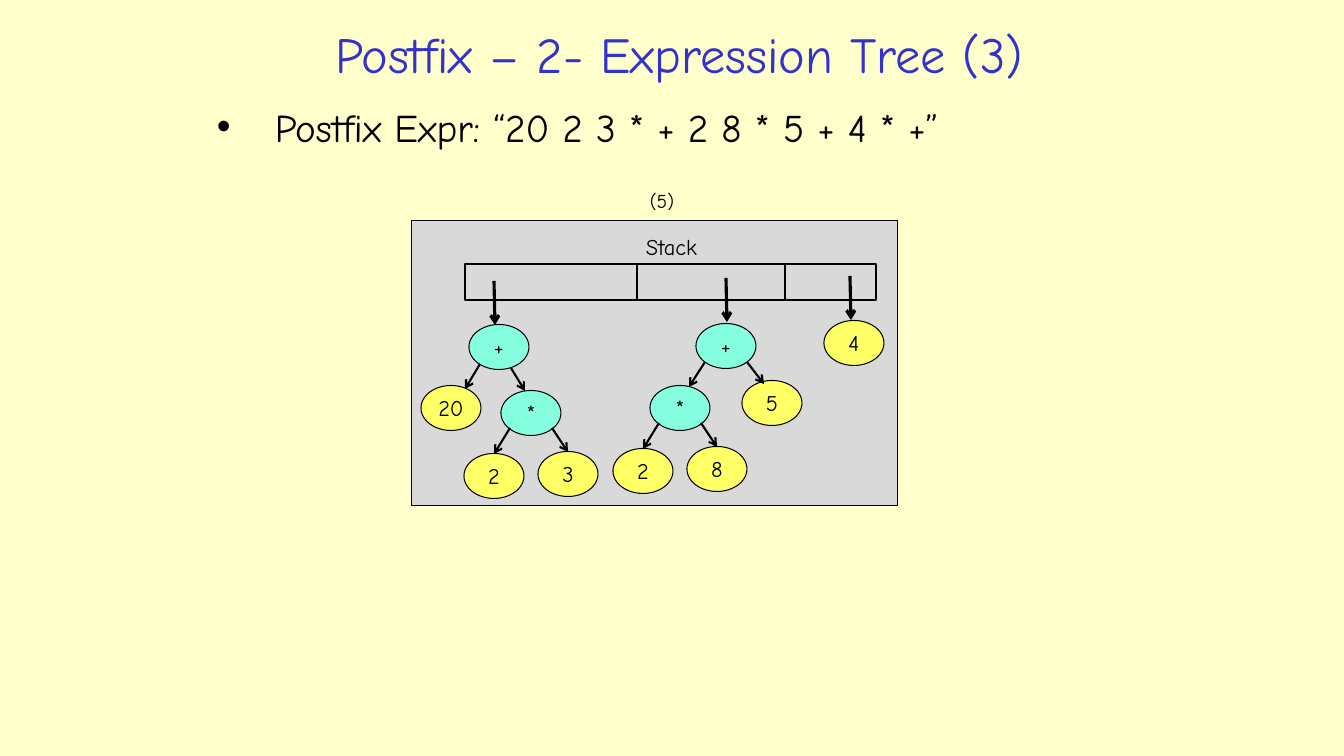
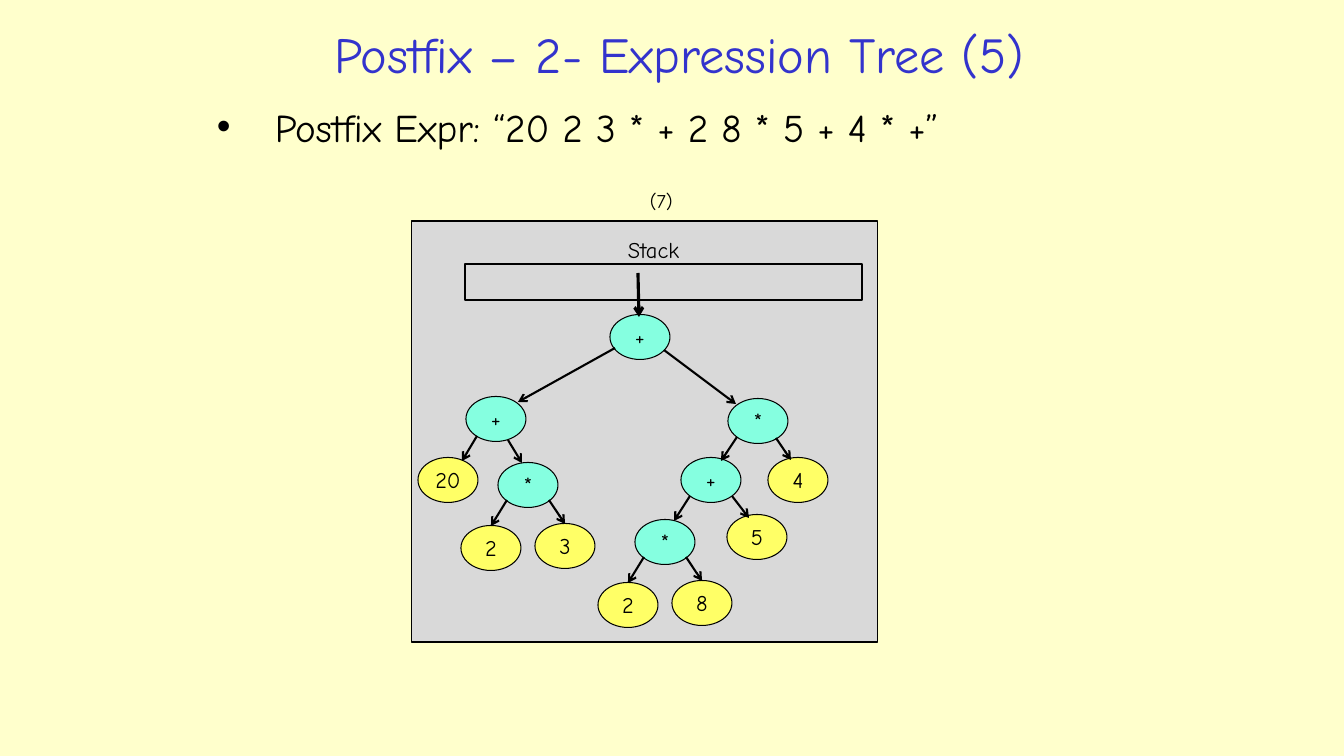
from dataclasses import dataclass

from lxml.etree import SubElement
from pptx import Presentation
from pptx.dml.color import RGBColor
from pptx.enum.shapes import MSO_CONNECTOR, MSO_SHAPE
from pptx.enum.text import MSO_ANCHOR, MSO_AUTO_SIZE, PP_ALIGN
from pptx.oxml.ns import qn
from pptx.util import Emu, Pt

EMU_PER_PX = 914400 / 100.8


@dataclass(frozen=True)
class Theme:
    font: str = "Comic Neue"
    background: RGBColor = RGBColor.from_string("FFFFCC")
    title: RGBColor = RGBColor.from_string("3333CC")
    ink: RGBColor = RGBColor.from_string("000000")
    panel: RGBColor = RGBColor.from_string("D9D9D9")
    operand: RGBColor = RGBColor.from_string("FFFF66")
    operator: RGBColor = RGBColor.from_string("85FFE0")
    title_size: int = 36
    body_size: int = 28
    label_size: int = 16
    step_size: int = 14
    outline: float = 0.75
    edge: float = 1.5
    pointer: float = 2.25


@dataclass(frozen=True)
class Node:
    symbol: str
    branches: tuple = ()


@dataclass(frozen=True)
class Branch:
    child: Node
    offset: tuple
    start: tuple
    end: tuple


@dataclass(frozen=True)
class Step:
    title: str
    number: str
    panel_size: tuple
    stack_width: int
    dividers: tuple
    label_position: tuple
    trees: tuple
    pointers: tuple


THEME = Theme()
NODE_WIDTH, NODE_HEIGHT = 60, 45
STACK_LEFT, STACK_TOP, STACK_HEIGHT = 465, 264, 36
POINTER_LENGTH = 44
EXPRESSION = "Postfix Expr: “20 2 3 * + 2 8 * 5 + 4 * +”"


def product(left, right):
    return Node("*", (
        Branch(Node(left), (-37, 63), (-21, 15), (0, -22)),
        Branch(Node(right), (37, 61), (21, 15), (0, -22)),
    ))


FIRST_SUM = Node("+", (
    Branch(Node("20"), (-48, 61), (-19, 17), (14, -19)),
    Branch(product("2", "3"), (32, 66), (12, 21), (-6, -22)),
))
SECOND_SUM = Node("+", (
    Branch(product("2", "8"), (-46, 62), (-21, 16), (9, -21)),
    Branch(Node("5"), (46, 57), (21, 16), (-8, -19)),
))
SCALED_SUM = Node("*", (
    Branch(SECOND_SUM, (-47, 59), (-21, 16), (10, -19)),
    Branch(Node("4"), (40, 59), (18, 17), (-7, -20)),
))
FULL_TREE = Node("+", (
    Branch(FIRST_SUM, (-144, 82), (-25, 11), (22, -17)),
    Branch(SCALED_SUM, (118, 84), (24, 13), (-22, -17)),
))

STEPS = (
    Step("Postfix – 2- Expression Tree (3)", "(5)", (486, 285), 411, (637, 785), (636, 228),
         ((FIRST_SUM, (499, 347)), (SECOND_SUM, (726, 346)), (Node("4"), (854, 343))),
         ((494, 281), (726, 278), (850, 276))),
    Step("Postfix – 2- Expression Tree (5)", "(7)", (466, 421), 397, (), (618, 231),
         ((FULL_TREE, (640, 337)),),
         ((638, 273),)),
)


def px(length):
    return Emu(round(length * EMU_PER_PX))


def shift(point, offset):
    return point[0] + offset[0], point[1] + offset[1]


def write_text(shape, text, *, size, color=THEME.ink, align=PP_ALIGN.LEFT,
               anchor=MSO_ANCHOR.TOP, wrap=False, bullet_indent=0):
    frame = shape.text_frame
    frame.auto_size = MSO_AUTO_SIZE.NONE
    frame.word_wrap = wrap
    frame.vertical_anchor = anchor
    paragraph = frame.paragraphs[0]
    paragraph.alignment = align
    if bullet_indent:
        properties = paragraph._p.get_or_add_pPr()
        properties.set("marL", str(px(bullet_indent)))
        properties.set("indent", str(-px(bullet_indent)))
        SubElement(properties, qn("a:buFont")).set("typeface", "Arial")
        SubElement(properties, qn("a:buChar")).set("char", "•")
    run = paragraph.add_run()
    run.text = text
    run.font.name = THEME.font
    run.font.size = Pt(size)
    run.font.color.rgb = color


def add_label(slide, text, left, top, width, height, **text_format):
    box = slide.shapes.add_textbox(px(left), px(top), px(width), px(height))
    write_text(box, text, **text_format)


def add_box(slide, kind, left, top, width, height, *, fill=None, line_width=THEME.outline):
    shape = slide.shapes.add_shape(kind, px(left), px(top), px(width), px(height))
    shape.shadow.inherit = False
    if fill is None:
        shape.fill.background()
    else:
        shape.fill.solid()
        shape.fill.fore_color.rgb = fill
    shape.line.color.rgb = THEME.ink
    shape.line.width = Pt(line_width)
    return shape


def add_line(slide, start, end, *, width=THEME.edge, arrow=True):
    connector = slide.shapes.add_connector(
        MSO_CONNECTOR.STRAIGHT, *(px(value) for value in (*start, *end)))
    connector.line.color.rgb = THEME.ink
    connector.line.width = Pt(width)
    if arrow:
        SubElement(connector.line._get_or_add_ln(), qn("a:tailEnd")).set("type", "arrow")
    SubElement(connector._element.spPr, qn("a:effectLst"))


def add_tree(slide, node, center):
    left, top = shift(center, (-NODE_WIDTH / 2, -NODE_HEIGHT / 2))
    fill = THEME.operator if node.branches else THEME.operand
    ellipse = add_box(slide, MSO_SHAPE.OVAL, left, top, NODE_WIDTH, NODE_HEIGHT, fill=fill)
    write_text(ellipse, node.symbol, size=THEME.label_size,
               align=PP_ALIGN.CENTER, anchor=MSO_ANCHOR.MIDDLE)
    for branch in node.branches:
        child_center = shift(center, branch.offset)
        add_tree(slide, branch.child, child_center)
        add_line(slide, shift(center, branch.start), shift(child_center, branch.end))


def add_title(slide, text):
    title = slide.shapes.title
    title.left, title.top, title.width, title.height = map(px, (199, 15, 961, 77))
    write_text(title, text, size=THEME.title_size, color=THEME.title,
               align=PP_ALIGN.CENTER, anchor=MSO_ANCHOR.MIDDLE, wrap=True)


def add_stack(slide, step):
    add_box(slide, MSO_SHAPE.RECTANGLE, STACK_LEFT, STACK_TOP, step.stack_width, STACK_HEIGHT,
            line_width=THEME.edge)
    add_label(slide, "Stack", *step.label_position, 83, 37, size=THEME.label_size)
    for x in step.dividers:
        add_line(slide, (x, STACK_TOP), (x, STACK_TOP + STACK_HEIGHT - 1), arrow=False)


def add_step_slide(presentation, step):
    slide = presentation.slides.add_slide(presentation.slide_layouts.get_by_name("Title Only"))
    add_title(slide, step.title)
    add_label(slide, EXPRESSION, 207, 98, 928, 53, size=THEME.body_size,
              wrap=True, bullet_indent=58)
    add_box(slide, MSO_SHAPE.RECTANGLE, 412, 221, *step.panel_size, fill=THEME.panel)
    add_stack(slide, step)
    add_label(slide, step.number, 640, 184, 47, 34, size=THEME.step_size)
    for node, center in step.trees:
        add_tree(slide, node, center)
    for start in step.pointers:
        add_line(slide, start, shift(start, (1, POINTER_LENGTH)), width=THEME.pointer)


def main():
    presentation = Presentation()
    presentation.slide_width = px(1344)
    presentation.slide_height = px(756)
    background = presentation.slide_master.background.fill
    background.solid()
    background.fore_color.rgb = THEME.background
    for step in STEPS:
        add_step_slide(presentation, step)
    presentation.save("out.pptx")


if __name__ == "__main__":
    main()
